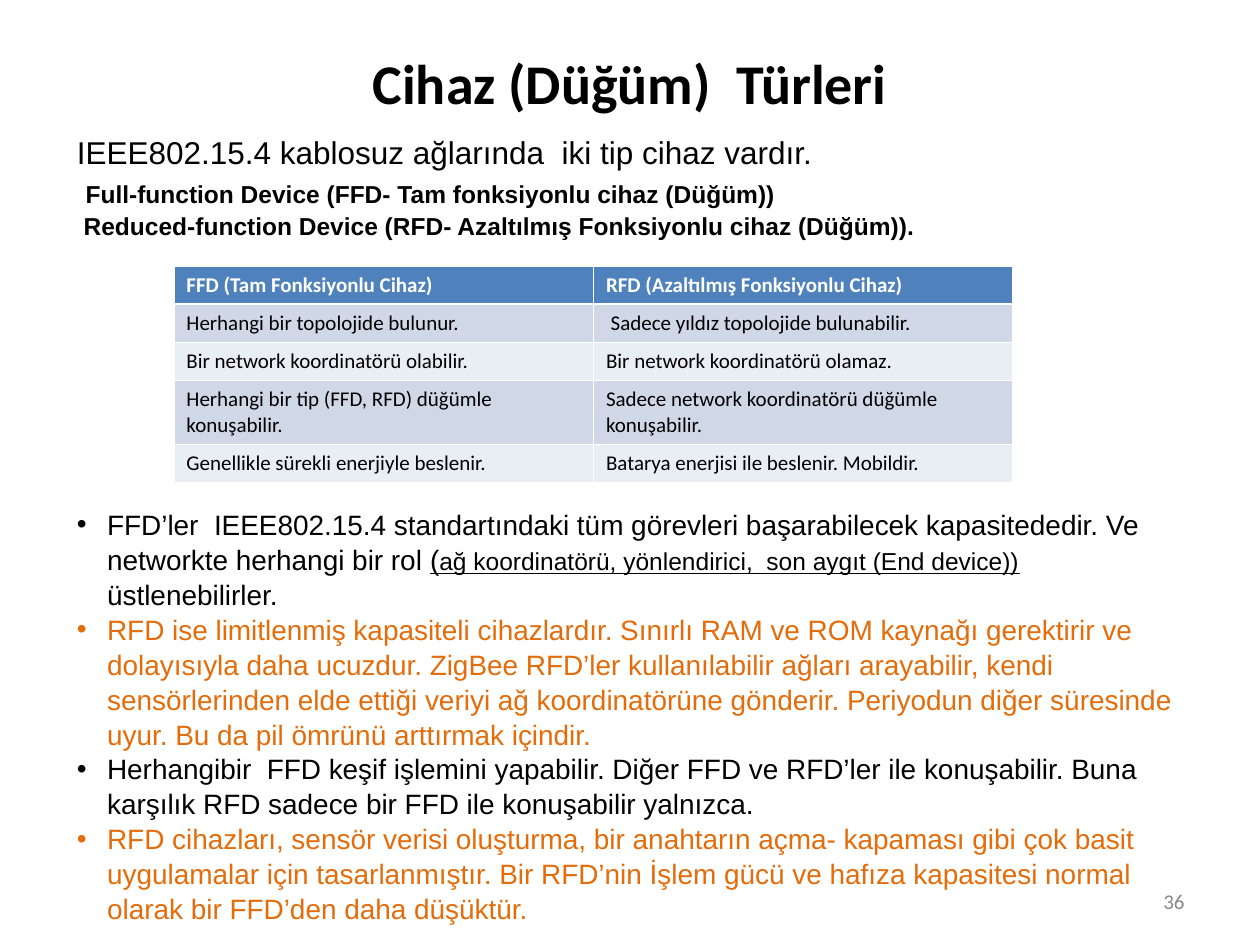
from pptx import Presentation
from pptx.dml.color import RGBColor
from pptx.enum.text import MSO_ANCHOR, MSO_AUTO_SIZE, PP_ALIGN
from pptx.oxml.ns import qn
from pptx.util import Inches, Pt
from lxml import etree

LEFT, CENTER, RIGHT = PP_ALIGN.LEFT, PP_ALIGN.CENTER, PP_ALIGN.RIGHT
MIDDLE, TOP = MSO_ANCHOR.MIDDLE, MSO_ANCHOR.TOP
FIXED = MSO_AUTO_SIZE.NONE

COLORS = {
    "black": "000000", "white": "FFFFFF", "orange": "E46C0A",
    "gray": "898989", "head": "4F81BD", "dark": "D0D8E8", "light": "E9EDF4",
}

# Each paragraph is a list of (text, format) runs
INTRO = [
    [("IEEE802.15.4 kablosuz ağlarında  iki tip cihaz vardır.", {"size": 18})],
    [(" ", {"size": 18}),
     ("Full-function Device (FFD- Tam fonksiyonlu cihaz (Düğüm))",
      {"size": 14, "bold": True})],
    [(" Reduced-function Device (RFD- Azaltılmış Fonksiyonlu cihaz (Düğüm)).",
      {"size": 14, "bold": True})],
]
NOTES = [
    [("FFD’ler  IEEE802.15.4 standartındaki tüm görevleri başarabilecek "
      "kapasitededir. Ve networkte herhangi bir rol ", {}),
     ("(", {"under": True}),
     ("ağ koordinatörü, yönlendirici,  son aygıt (End device)) ",
      {"size": 14, "under": True}),
     ("üstlenebilirler.", {})],
    [("RFD ise limitlenmiş kapasiteli cihazlardır. Sınırlı RAM ve ROM kaynağı "
      "gerektirir ve dolayısıyla daha ucuzdur. ZigBee RFD’ler kullanılabilir "
      "ağları arayabilir, kendi sensörlerinden elde ettiği veriyi ağ "
      "koordinatörüne gönderir. Periyodun diğer süresinde uyur. Bu da pil "
      "ömrünü arttırmak içindir.", {})],
    [("Herhangibir  FFD keşif işlemini yapabilir. Diğer FFD ve RFD’ler ile "
      "konuşabilir. Buna karşılık RFD sadece bir FFD ile konuşabilir "
      "yalnızca.", {})],
    [("RFD cihazları, sensör verisi oluşturma, bir anahtarın açma- kapaması "
      "gibi çok basit uygulamalar için tasarlanmıştır. Bir RFD’nin İşlem gücü "
      "ve hafıza kapasitesi normal olarak bir FFD’den daha düşüktür.", {})],
]
ROWS = [
    ("FFD (Tam Fonksiyonlu Cihaz)", "RFD (Azaltılmış Fonksiyonlu Cihaz)"),
    ("Herhangi bir topolojide bulunur.",
     " Sadece yıldız topolojide bulunabilir."),
    ("Bir network koordinatörü olabilir.", "Bir network koordinatörü olamaz."),
    ("Herhangi bir tip (FFD, RFD) düğümle konuşabilir.",
     "Sadece network koordinatörü düğümle konuşabilir."),
    ("Genellikle sürekli enerjiyle beslenir.",
     "Batarya enerjisi ile beslenir. Mobildir."),
]
HEIGHTS = [0.3, 0.3, 0.3, 0.5, 0.3]


def rgb(name):
    return RGBColor.from_string(COLORS[name])


def put(para, text, size=16, color="black", font="Arial", bold=False,
        under=False, align=LEFT):
    para.alignment = align
    run = para.add_run()
    run.text = text
    face = run.font
    face.name, face.size = font, Pt(size)
    face.bold, face.underline = bold, under
    face.color.rgb = rgb(color)


def place(shape, left, top, width, height, anchor=TOP):
    shape.left, shape.top = Inches(left), Inches(top)
    shape.width, shape.height = Inches(width), Inches(height)
    frame = shape.text_frame
    frame.word_wrap = True
    frame.auto_size = FIXED
    frame.vertical_anchor = anchor
    return frame


def mark(para, color=None):
    """Give the paragraph a coloured bullet, or none."""
    props = para._p.get_or_add_pPr()
    dent = Inches(0.24) if color else 0
    props.set("marL", str(dent))
    props.set("indent", str(-dent))
    if not color:
        etree.SubElement(props, qn("a:buNone"))
        return
    tint = etree.SubElement(props, qn("a:buClr"))
    etree.SubElement(tint, qn("a:srgbClr"), val=COLORS[color])
    etree.SubElement(props, qn("a:buFont"), typeface="Arial")
    etree.SubElement(props, qn("a:buChar"), char="•")


def add_body(frame):
    items = [(runs, None) for runs in INTRO]
    items += [(runs, ("black", "orange")[i % 2])
              for i, runs in enumerate(NOTES)]
    for i, (runs, color) in enumerate(items):
        para = frame.paragraphs[0] if i == 0 else frame.add_paragraph()
        mark(para, color)
        para.line_spacing = 1.04
        # The first bullet clears the table
        para.space_before = Pt(152 if i == len(INTRO) else 0)
        for text, form in runs:
            put(para, text, color=color or "black", **form)


def add_grid(slide):
    grid = slide.shapes.add_table(
        len(ROWS), 2, Inches(1.38), Inches(2.11),
        Inches(6.66), Inches(sum(HEIGHTS))).table
    for col in grid.columns:
        col.width = Inches(3.33)
    for r, row in enumerate(ROWS):
        grid.rows[r].height = Inches(HEIGHTS[r])
        head = r == 0
        fill = "head" if head else ("light", "dark")[r % 2]
        for c, text in enumerate(row):
            cell = grid.cell(r, c)
            cell.fill.solid()
            cell.fill.fore_color.rgb = rgb(fill)
            put(cell.text_frame.paragraphs[0], text, size=12, font="Calibri",
                color="white" if head else "black", bold=head)


def main():
    deck = Presentation()
    deck.slide_width, deck.slide_height = Inches(10), Inches(7.5)
    slide = deck.slides.add_slide(deck.slide_layouts[1])

    # Title
    frame = place(slide.shapes.title, 0.5, 0.3, 9, 0.7, MIDDLE)
    put(frame.paragraphs[0], "Cihaz (Düğüm)  Türleri", size=32,
        font="Calibri", bold=True, align=CENTER)

    # Intro lines and bullets
    add_body(place(slide.placeholders[1], 0.51, 0.99, 8.9, 5.97))

    # Page number
    box = slide.shapes.add_textbox(0, 0, 0, 0)
    frame = place(box, 7.17, 6.95, 2.33, 0.4, MIDDLE)
    put(frame.paragraphs[0], "36", size=12, font="Calibri", color="gray",
        align=RIGHT)

    # Device comparison
    add_grid(slide)
    deck.save("out.pptx")


if __name__ == "__main__":
    main()
